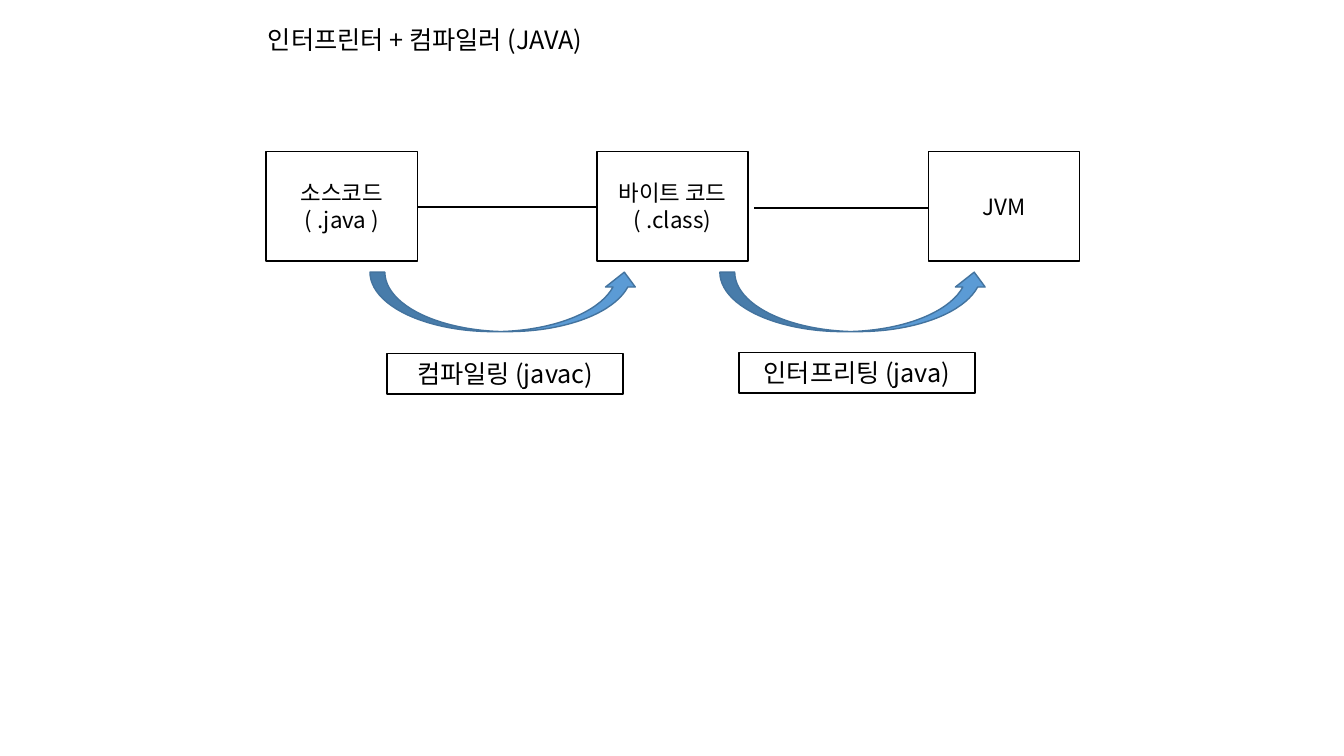
from dataclasses import dataclass

from lxml import etree
from pptx import Presentation
from pptx import util as u
from pptx.dml.color import RGBColor
from pptx.enum import shapes, text
from pptx.oxml import ns

EMU_PER_PX = 9144
FONT = "Noto Sans CJK KR"
COLOURS = {
    "ink": "000000",
    "paper": "FFFFFF",
    "arrow": "5B9BD5",
    "arrow_edge": "43739E",
}


@dataclass(frozen=True)
class Box:
    label: str
    left: int
    top: int
    width: int
    height: int
    size: int
    fits_text: bool = False


@dataclass(frozen=True)
class Link:
    start: int
    end: int
    y: int


def stage(label: str, left: int) -> Box:
    return Box(label, left, 150, 150, 109, 16)


def caption(label: str, left: int, top: int) -> Box:
    return Box(label, left, top, 234, 40, 18, True)


TITLE = Box("인터프린터 + 컴파일러 (JAVA)", 256, 19, 344, 71, 18, True)
BYTECODE = stage("바이트 코드\n( .class)", 592)
SOURCE = stage("소스코드\n( .java )", 264)
MACHINE = stage("JVM", 921)
LINKS = [Link(414, 592, 205), Link(748, 926, 206)]
ARROW_LEFTS = [367, 714]
CAPTIONS = [caption("컴파일링 (javac)", 384, 351), caption("인터프리팅 (java)", 733, 350)]


def px(length: int) -> u.Emu:
    return u.Emu(length * EMU_PER_PX)


def colour(name: str) -> RGBColor:
    return RGBColor.from_string(COLOURS[name])


def write_text(shape, box: Box, alignment: text.PP_ALIGN) -> None:
    frame = shape.text_frame
    frame.text = box.label
    frame.word_wrap = True
    if box.fits_text:
        frame.auto_size = text.MSO_AUTO_SIZE.SHAPE_TO_FIT_TEXT
        frame.vertical_anchor = text.MSO_ANCHOR.TOP
    else:
        frame.vertical_anchor = text.MSO_ANCHOR.MIDDLE
    for paragraph in frame.paragraphs:
        paragraph.alignment = alignment
        for run in paragraph.runs:
            run.font.size = u.Pt(box.size)
            run.font.name = FONT
            run.font.color.rgb = colour("ink")
            east_asian = etree.SubElement(run.font._element, ns.qn("a:ea"))
            east_asian.set("typeface", FONT)


def paint(shape, fill: str, line: str) -> None:
    shape.shadow.inherit = False
    shape.fill.solid()
    shape.fill.fore_color.rgb = colour(fill)
    shape.line.color.rgb = colour(line)
    shape.line.width = u.Pt(1)


def draw_title(slide, box: Box) -> None:
    shape = slide.shapes.add_textbox(
        px(box.left), px(box.top), px(box.width), px(box.height)
    )
    write_text(shape, box, text.PP_ALIGN.LEFT)


def draw_box(slide, box: Box) -> None:
    shape = slide.shapes.add_shape(
        shapes.MSO_SHAPE.RECTANGLE,
        px(box.left), px(box.top), px(box.width), px(box.height),
    )
    paint(shape, "paper", "ink")
    write_text(shape, box, text.PP_ALIGN.CENTER)


def draw_link(slide, link: Link) -> None:
    connector = slide.shapes.add_connector(
        shapes.MSO_CONNECTOR.STRAIGHT,
        px(link.start), px(link.y), px(link.end), px(link.y),
    )
    connector.line.color.rgb = colour("ink")
    connector.line.width = u.Pt(1.5)
    etree.SubElement(connector._element.spPr, ns.qn("a:effectLst"))


def draw_arrow(slide, left: int) -> None:
    shape = slide.shapes.add_shape(
        shapes.MSO_SHAPE.CURVED_UP_ARROW, px(left), px(270), px(267), px(59)
    )
    paint(shape, "arrow", "arrow_edge")


def main() -> None:
    presentation = Presentation()
    presentation.slide_width = px(1333)
    presentation.slide_height = px(750)
    slide = presentation.slides.add_slide(presentation.slide_layouts[6])
    draw_box(slide, BYTECODE)
    for link in LINKS:
        draw_link(slide, link)
    draw_title(slide, TITLE)
    for box in (SOURCE, MACHINE):
        draw_box(slide, box)
    for left in ARROW_LEFTS:
        draw_arrow(slide, left)
    for box in CAPTIONS:
        draw_box(slide, box)
    presentation.save("out.pptx")


if __name__ == "__main__":
    main()
